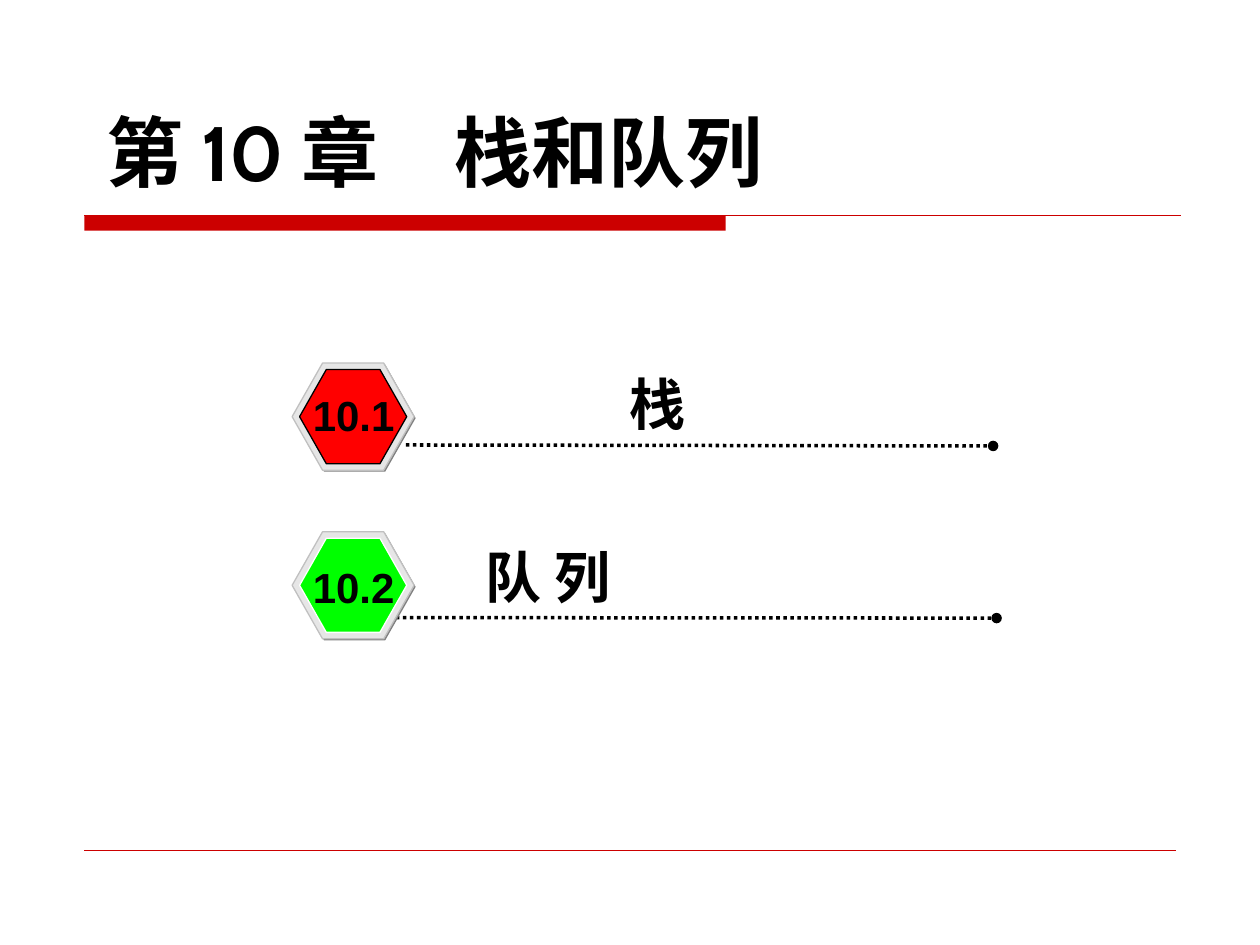
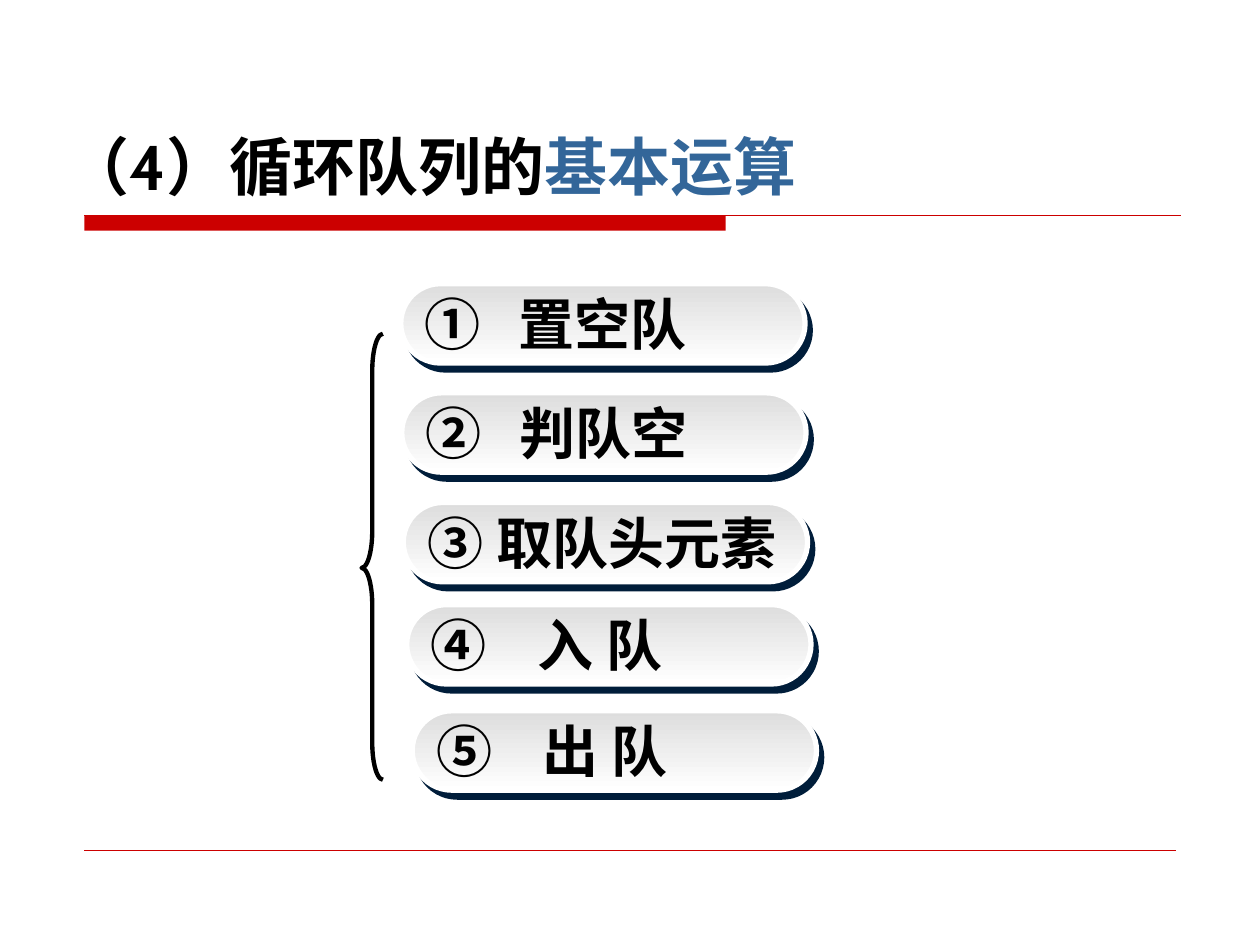
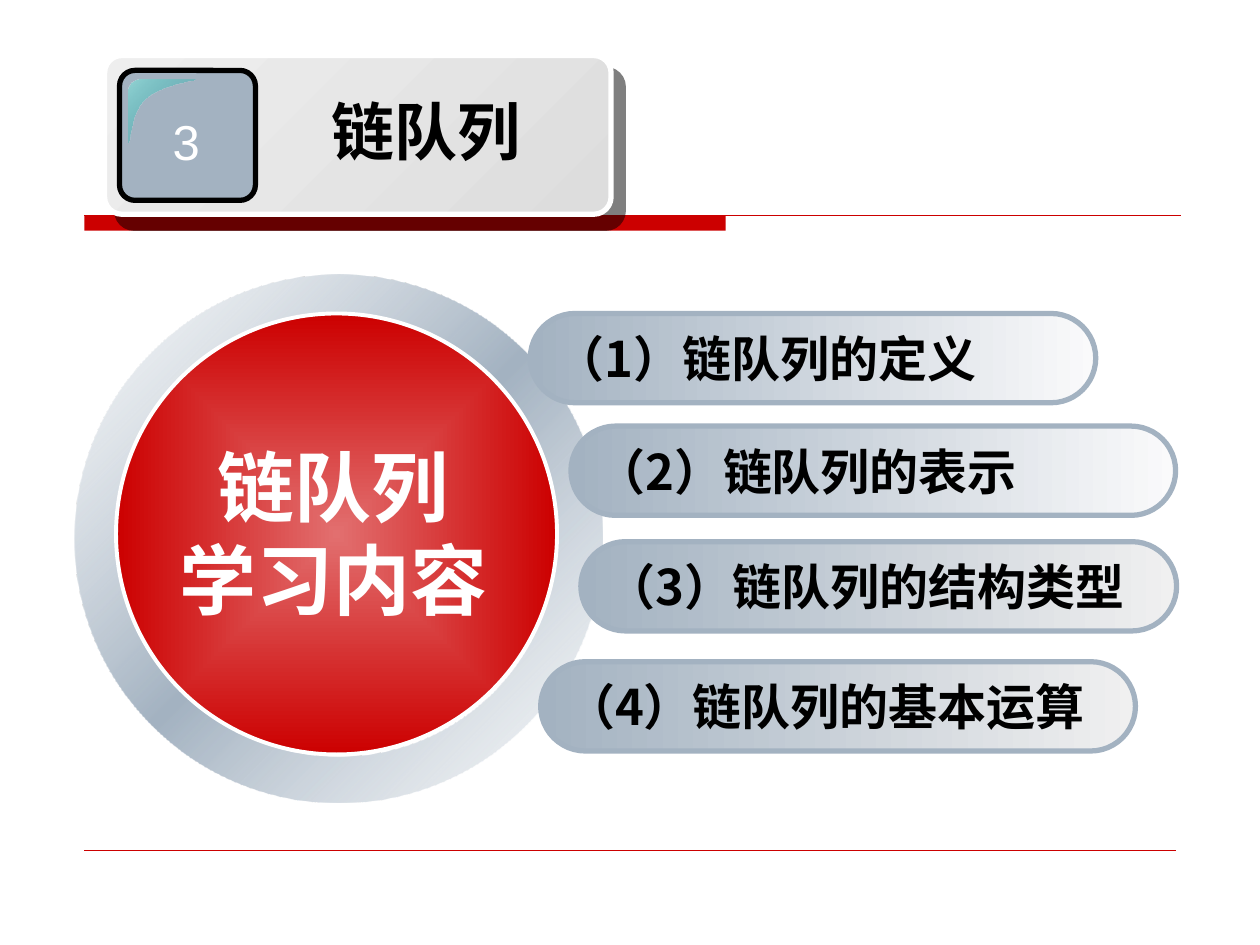
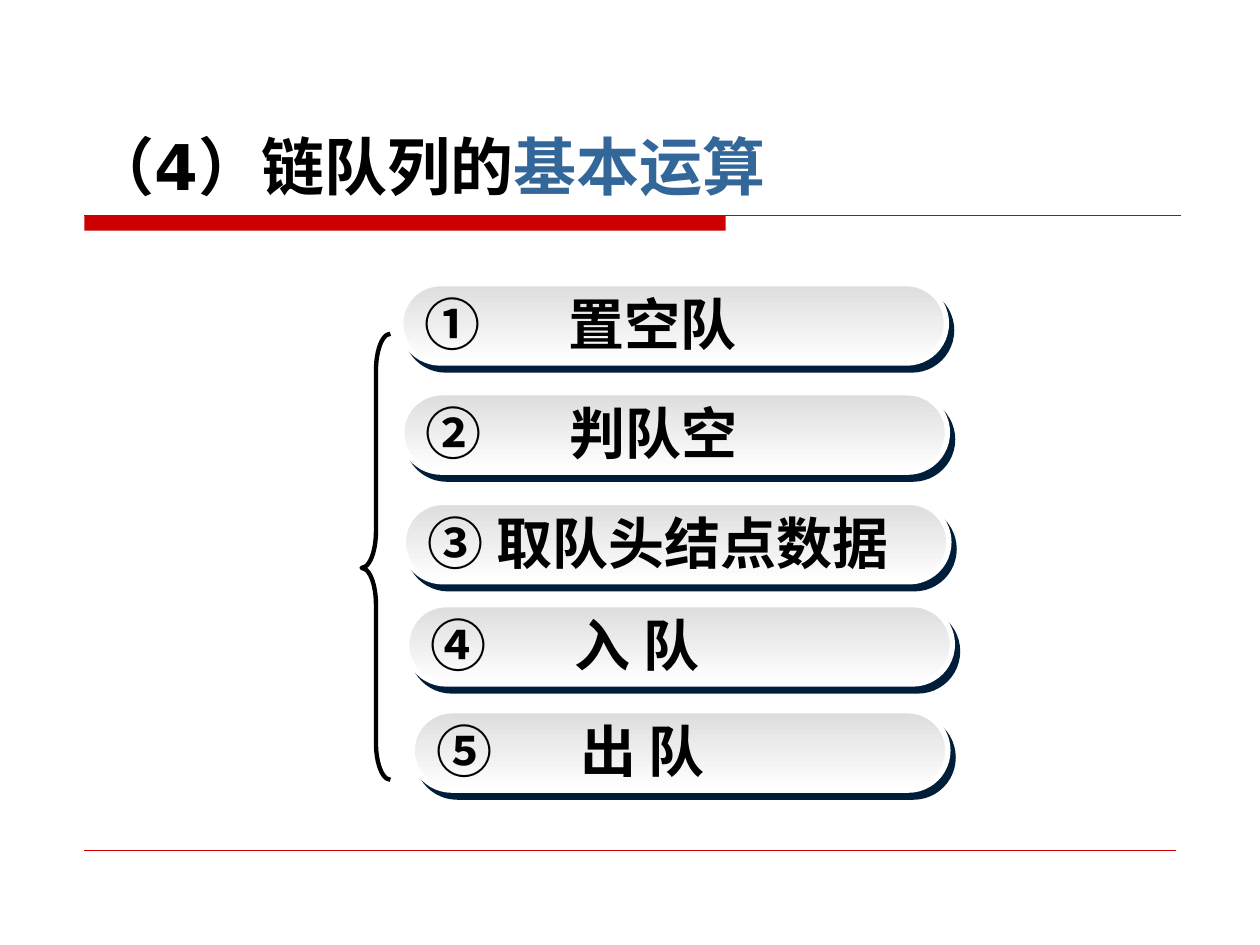
from lxml.etree import SubElement
from pptx import Presentation
from pptx.dml.color import RGBColor
from pptx.enum.dml import MSO_LINE
from pptx.enum.shapes import MSO_CONNECTOR, MSO_SHAPE
from pptx.enum.text import MSO_ANCHOR, MSO_AUTO_SIZE, PP_ALIGN
from pptx.oxml import parse_xml
from pptx.oxml.ns import nsdecls, qn
from pptx.util import Cm, Pt

HEX = {
    "black": "000000", "white": "FFFFFF", "accent": "CC0000", "blue": "336699",
    "red": "FF0000", "green": "00FF00", "shade": "808080", "rim": "E6E6E6",
    "edge": "C0C0C0", "navy": "001D3A", "grey": "DDDDDD", "pale": "EEEEEE",
    "steel": "A3B2C1", "mist": "C7D0D9", "snow": "FAFAFB", "ash": "F0F0F0",
    "teal": "009999", "aqua": "93D4D4", "rose": "E26F6F",
}
CJK = "Noto Sans CJK SC"
SANS = "DejaVu Sans"
ALIGN = {"left": PP_ALIGN.LEFT, "center": PP_ALIGN.CENTER}
ANCHOR = {"top": MSO_ANCHOR.TOP, "middle": MSO_ANCHOR.MIDDLE, "bottom": MSO_ANCHOR.BOTTOM}
ROWS = [(8.08, 5.72), (8.1, 7.92), (8.13, 10.13), (8.2, 12.19), (8.31, 14.33)]


def rgb(name):
    """Return the named colour."""
    return RGBColor.from_string(HEX[name])


def cast(parent, color, alpha, dist, angle):
    """Add a hard shadow to an effect list."""
    parent.append(parse_xml(
        f'<a:outerShdw {nsdecls("a")} blurRad="0" dist="{Pt(dist)}" dir="{angle * 60000}" '
        f'algn="ctr" rotWithShape="0"><a:srgbClr val="{HEX[color]}">'
        f'<a:alpha val="{alpha * 1000}"/></a:srgbClr></a:outerShdw>'))


def blend(shape, stops, angle=None):
    """Fill with a gradient of (place, colour, opacity); no angle means from the centre."""
    marks = "".join(
        f'<a:gs pos="{place * 1000}"><a:srgbClr val="{HEX[color]}">'
        f'<a:alpha val="{alpha * 1000}"/></a:srgbClr></a:gs>' for place, color, alpha in stops)
    if angle is None:
        way = '<a:path path="rect"><a:fillToRect l="50000" t="50000" r="50000" b="50000"/></a:path>'
    else:
        way = f'<a:lin ang="{angle * 60000}" scaled="0"/>'
    shape.fill.background()
    props = shape.element.spPr
    props.replace(props.find(qn("a:noFill")), parse_xml(
        f'<a:gradFill {nsdecls("a")} rotWithShape="1"><a:gsLst>{marks}</a:gsLst>{way}</a:gradFill>'))


def paint(shape, fill=None, line=None, width=0.75, shadow=None):
    """Set fill, outline and shadow of a shape."""
    shape.shadow.inherit = False
    if fill:
        shape.fill.solid()
        shape.fill.fore_color.rgb = rgb(fill)
    else:
        shape.fill.background()
    if line:
        shape.line.color.rgb = rgb(line)
        shape.line.width = Pt(width)
    else:
        shape.line.fill.background()
    if shadow:
        cast(shape.element.spPr.find(qn("a:effectLst")), *shadow)


def draw(shapes, kind, box, adjust=(), **look):
    """Add a preset shape in a box given in centimetres."""
    shape = shapes.add_shape(kind, *map(Cm, box))
    for index, value in enumerate(adjust):
        shape.adjustments[index] = value
    paint(shape, **look)
    return shape


def link(shapes, start, end, color, width):
    """Add a straight line between two points."""
    line = shapes.add_connector(MSO_CONNECTOR.STRAIGHT, *map(Cm, start + end))
    line.line.color.rgb = rgb(color)
    line.line.width = Pt(width)
    SubElement(line.element.spPr, qn("a:effectLst"))
    return line


def write(frame, *lines, size, font="Arial", color="black", bold=True, align="left",
          anchor="top", wrap=True, grow=False, indent=0, tab=0, shade=False):
    """Write lines, each a string or a list of (text, changes) runs."""
    frame.word_wrap = wrap
    frame.auto_size = MSO_AUTO_SIZE.SHAPE_TO_FIT_TEXT if grow else MSO_AUTO_SIZE.NONE
    frame.vertical_anchor = ANCHOR[anchor]
    for index, line in enumerate(lines):
        para = frame.add_paragraph() if index else frame.paragraphs[0]
        para.alignment = ALIGN[align]
        props = para._p.get_or_add_pPr()
        if indent:
            props.set("marL", str(Cm(indent)))
            props.set("indent", "0")
        if tab:
            stops = SubElement(props, qn("a:tabLst"))
            SubElement(stops, qn("a:tab"), pos=str(Cm(tab)), algn="l")
        for text, change in [(line, {})] if isinstance(line, str) else line:
            run = para.add_run()
            run.text = text
            run.font.size, run.font.bold = Pt(size), bold
            run.font.color.rgb = rgb(change.get("color", color))
            if shade:
                cast(SubElement(run.font._element, qn("a:effectLst")), "black", 100, 2, 45)
            run.font.name = change.get("font", font)
            SubElement(run.font._element, qn("a:ea"), typeface=CJK)


def label(shapes, box, *lines, **form):
    """Add a text box that grows with its text."""
    write(shapes.add_textbox(*map(Cm, box)).text_frame, *lines, grow=True, **form)


def head(slide, box, line, **form):
    """Place the title in front of what is there and write it."""
    title = slide.shapes.title
    title.left, title.top, title.width, title.height = map(Cm, box)
    slide.shapes.element.append(title.element)
    write(title.text_frame, line, **form)


def frame(slide, layout):
    """Give the layout its red band and foot rule."""
    shapes = slide.shapes
    parts = [
        draw(shapes, MSO_SHAPE.RECTANGLE, (1.7, 4.34, 12.93, 0.31), fill="accent"),
        link(shapes, (1.7, 4.34), (23.8, 4.34), "accent", 0.75),
        link(shapes, (1.7, 17.14), (23.7, 17.14), "accent", 0.25),
    ]
    for number, part in enumerate(parts, 21):
        part.element.xpath(".//p:cNvPr")[0].set("id", str(number))
        layout.shapes.element.append(part.element)


def badge(slide, left, top, color, edge, number, drop):
    """Draw a numbered hexagon."""
    shapes = slide.shapes.add_group_shape().shapes
    for shift_x, shift_y, width, height, fill, line in [
            (0.03, 0.03, 2.46, 2.16, "shade", None),
            (0, 0, 2.46, 2.16, "rim", "edge"),
            (0.15, 0.13, 2.16, 1.9, color, edge)]:
        draw(shapes, MSO_SHAPE.HEXAGON, (left + shift_x, top + shift_y, width, height),
             [0.284], fill=fill, line=line)
    label(slide.shapes, (left + 0.16, top + drop, 2.16, 1.27), number,
          size=24, align="center", wrap=False)


def chapter(slide):
    """Build the chapter page with its two parts."""
    for start, end in [((7.98, 12.45), (20.09, 12.46)), ((8.18, 8.97), (20.02, 8.99))]:
        line = link(slide.shapes, start, end, "black", 2)
        line.line.dash_style = MSO_LINE.ROUND_DOT
        SubElement(line.element.spPr.find(qn("a:ln")), qn("a:tailEnd"), type="oval")
    badge(slide, 5.89, 7.32, "red", "black", "10.1", 0.4)
    badge(slide, 5.89, 10.72, "green", "white", "10.2", 0.48)
    label(slide.shapes, (8.89, 7.32, 14.4, 1.63), "栈", size=32, indent=3.55)
    label(slide.shapes, (6.5, 10.82, 11.51, 1.63), "队 列", size=32, indent=3.04)
    head(slide, (1.9, 1.55, 21.23, 2.97),
         [("第 ", {}), ("10 ", {"font": "Cabin"}), ("章\t栈和队列", {})],
         size=44, anchor="middle", tab=7)


def steps(slide, left, topic, font, names, widths, tabs, brace):
    """Build a page of five steps held by a brace."""
    head(slide, (left, 0.84, 22.23, 3.38), [(topic, {}), ("基本运算", {"color": "blue"})],
         size=36, font=font, anchor="bottom")
    for mark, name, (x, y), width, tab in zip("①②③④⑤", names, ROWS, widths, tabs):
        pill = draw(slide.shapes, MSO_SHAPE.ROUNDED_RECTANGLE, (x, y, width, 1.6), [0.5],
                    line="white", width=3, shadow=("navy", 100, 5, 53))
        blend(pill, [(0, "grey", 100), (100, "white", 100)], 90)
        gap = "\t" if tab else " "
        write(pill.text_frame, [(mark + gap, {"font": SANS}), (name, {})],
              size=32, anchor="middle", wrap=False, tab=tab)
    draw(slide.shapes, MSO_SHAPE.LEFT_BRACE, (7.29, 6.73, brace, 8.99),
         [0.74 / brace, 0.525], line="black", width=2.5)


def curve(start, first, second, end, count=12):
    """Return points along a cubic curve after its start."""
    points = []
    for step in range(1, count + 1):
        t = step / count
        parts = (1 - t) ** 3, 3 * t * (1 - t) ** 2, 3 * t * t * (1 - t), t ** 3
        points.append(tuple(sum(p * v for p, v in zip(parts, axis))
                            for axis in zip(start, first, second, end)))
    return points


def glint(shapes, left, top):
    """Draw the bright corner of the tile."""
    points = curve((0.25, 0), (0.1, 0), (0, 0.1), (0, 0.25))
    points += [(0, 1.27)]
    points += curve((0, 1.27), (0.05, 1.3), (0.03, 0.66), (0.36, 0.38))
    points += curve((0.36, 0.38), (0.71, 0.08), (1.35, 0.05), (1.35, 0))
    path = shapes.build_freeform(Cm(left + 0.25), Cm(top))
    path.add_line_segments([(Cm(left + x), Cm(top + y)) for x, y in points])
    shape = path.convert_to_shape()
    paint(shape)
    blend(shape, [(0, "aqua", 100), (100, "teal", 0)], 45)


def card(slide, left, top):
    """Draw the numbered title card."""
    shapes = slide.shapes.add_group_shape().shapes
    plate = draw(shapes, MSO_SHAPE.ROUNDED_RECTANGLE, (left, top, 10.21, 3.2), [0.109],
                 line="white", width=3, shadow=("black", 50, 10.6, 49))
    blend(plate, [(0, "pale", 100), (100, "grey", 100)], 45)
    draw(shapes, MSO_SHAPE.ROUNDED_RECTANGLE, (left + 0.3, top + 0.3, 2.74, 2.62), [0.119],
         fill="steel", line="black", width=3)
    glint(shapes, left + 0.48, top + 0.48)
    label(shapes, (left + 1.12, top + 1.01, 1.04, 1.45), "3", size=28, color="white",
          bold=False, align="center", wrap=False)
    head(slide, (left + 3.4, top + 0.61, 6.17, 1.78), "链队列", size=36, align="center")


def wheel(slide, left, top):
    """Draw the ring and disc."""
    ring = draw(slide.shapes, MSO_SHAPE.DONUT, (left, top, 10.64, 10.64), [0.088])
    blend(ring, [(0, "mist", 12), (50, "steel", 100), (100, "mist", 12)], 45)
    disc = draw(slide.shapes, MSO_SHAPE.OVAL, (left + 0.84, top + 0.78, 8.89, 8.89),
                line="white", width=2.25)
    blend(disc, [(0, "rose", 100), (100, "accent", 100)])
    label(slide.shapes, (left + 1.4, top + 3.2, 7.65, 3.99), "链队列", "学习内容",
          size=44, color="white", align="center", shade=True)


def topics(slide):
    """Build the page of study topics."""
    card(slide, 2.11, 1.12)
    wheel(slide, 1.5, 5.54)
    for x, y, width, light, text in [
            (10.69, 6.32, 11.4, "snow", "（1）链队列的定义"),
            (11.51, 8.59, 12.19, "snow", "（2）链队列的表示"),
            (11.71, 10.92, 12.01, "ash", "（3）链队列的结构类型"),
            (10.9, 13.34, 11.99, "ash", "（4）链队列的基本运算")]:
        bar = draw(slide.shapes, MSO_SHAPE.ROUNDED_RECTANGLE, (x, y, width, 1.8), [0.5],
                   line="steel", width=3)
        blend(bar, [(0, "steel", 100), (100, light, 100)], 0)
        write(bar.text_frame, text, size=28, font=CJK, anchor="middle", wrap=False)


def main():
    """Build and save the slides."""
    deck = Presentation()
    deck.slide_width, deck.slide_height = Cm(25.4), Cm(19.05)
    layout = deck.slide_layouts[5]
    first, second, third, fourth = [deck.slides.add_slide(layout) for _ in range(4)]
    frame(first, layout)
    chapter(first)
    steps(second, 1.09, "（4）循环队列的", "Cabin",
          ["置空队", "判队空", "取队头元素", "入 队", "出 队"],
          [8.15] * 5, [1.89, 1.89, 0, 2.15, 2.15], 0.43)
    topics(third)
    steps(fourth, 1.6, "（4）链队列的", SANS,
          ["置空队", "判队空", "取队头结点数据", "入 队", "出 队"],
          [11] * 4 + [10.8], [2.9, 2.9, 0, 2.9, 2.9], 0.58)
    deck.save("out.pptx")


if __name__ == "__main__":
    main()
